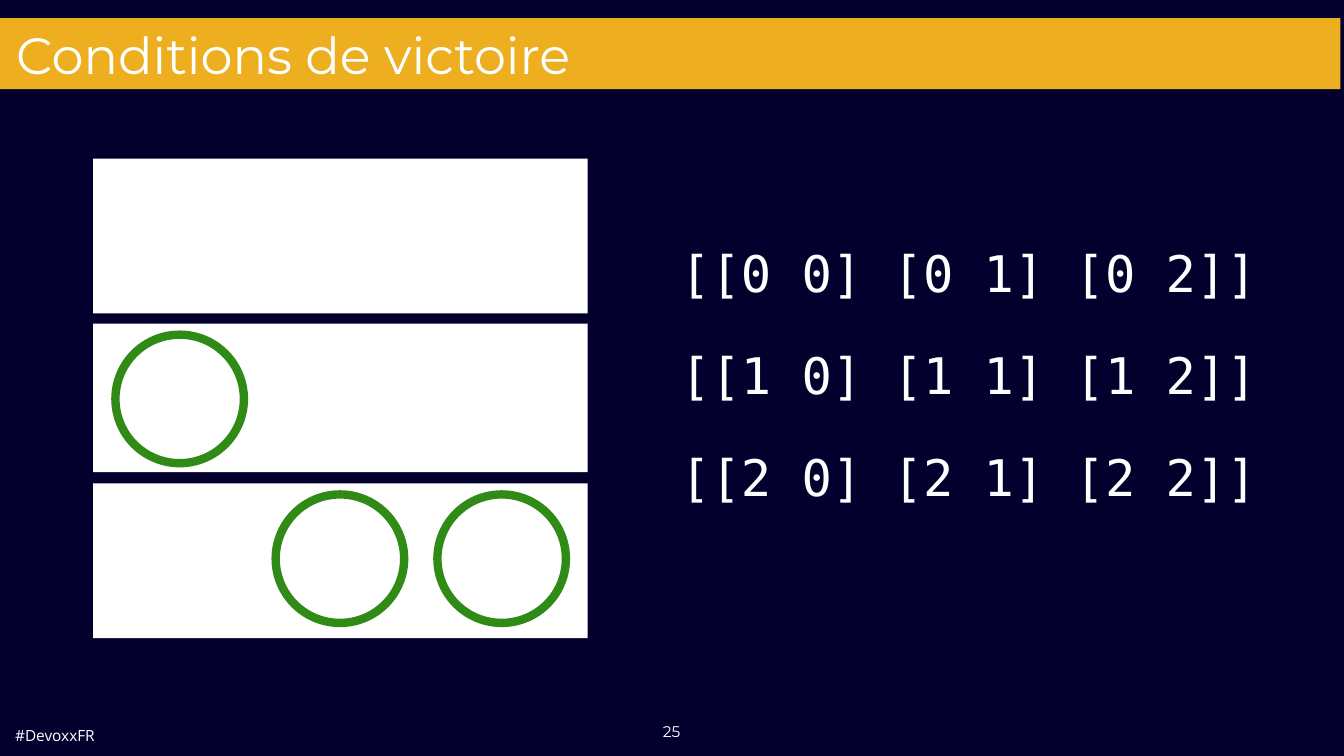
from pptx import Presentation
from pptx.dml.color import RGBColor
from pptx.enum.shapes import MSO_SHAPE as Shape
from pptx.enum.text import MSO_ANCHOR as Anchor, MSO_AUTO_SIZE as AutoSize, PP_ALIGN as Align
from pptx.util import Inches, Pt

COLORS = {"night": "03002E", "amber": "EDAF1F", "white": "FFFFFF", "green": "308B16"}
BOARD_LEFT, BOARD_WIDTH = 1.85, 9.81
ROWS = [(3.15, 3.07), (6.42, 2.95), (9.59, 3.07)]
COLUMNS = [2.29, 5.47, 8.68]
MARKS = [(1, 0), (2, 1), (2, 2)]
MARK_SIZE, MARK_INSET = 2.55, 0.22


def color(name):
    """Return the palette colour of that name."""
    return RGBColor.from_string(COLORS[name])


def paint(part, name):
    """Fill a part with a palette colour."""
    part.fill.solid()
    part.fill.fore_color.rgb = color(name)


def write(box, lines, font, size, align=Align.LEFT, anchor=Anchor.TOP, wrap=True, gap=0):
    """Write one paragraph per line, with a gap between paragraphs."""
    frame = box.text_frame
    frame.text = "\n".join(lines)
    frame.auto_size = AutoSize.NONE
    frame.word_wrap = wrap
    frame.vertical_anchor = anchor
    frame.margin_left = frame.margin_right = Inches(0.08)
    frame.margin_top = frame.margin_bottom = Inches(0.08)
    for index, paragraph in enumerate(frame.paragraphs):
        paragraph.alignment = align
        paragraph.space_before = Pt(gap if index else 0)
        for run in paragraph.runs:
            run.font.name = font
            run.font.size = Pt(size)
            run.font.color.rgb = color("white")


def add_text(slide, place, lines, font, size, **options):
    """Add a text box with formatted lines."""
    box = slide.shapes.add_textbox(*map(Inches, place))
    write(box, lines, font, size, **options)


def set_title(slide, text):
    """Turn the title placeholder into the amber banner."""
    title = slide.shapes.title
    title.left, title.top, title.width, title.height = map(Inches, (-0.08, 0.36, 26.68, 1.41))
    paint(title, "amber")
    write(title, [text], "Montserrat", 72.8, anchor=Anchor.MIDDLE)
    title.text_frame.paragraphs[0]._p.get_or_add_pPr().set("indent", str(Inches(0.32)))


def add_row(slide, top, height):
    """Add one white row of the board."""
    row = slide.shapes.add_shape(
        Shape.RECTANGLE, *map(Inches, (BOARD_LEFT, top, BOARD_WIDTH, height)))
    row.shadow.inherit = False
    paint(row, "white")
    row.line.fill.background()


def add_mark(slide, row, column):
    """Add a player's ring in a board cell."""
    top = ROWS[row][0] + MARK_INSET
    mark = slide.shapes.add_shape(
        Shape.OVAL, *map(Inches, (COLUMNS[column], top, MARK_SIZE, MARK_SIZE)))
    mark.shadow.inherit = False
    mark.fill.background()
    mark.line.color.rgb = color("green")
    mark.line.width = Pt(12)


def winning_row(row):
    """Return the coordinates of a full row as a nested vector."""
    return "[" + " ".join(f"[{row} {column}]" for column in range(len(COLUMNS))) + "]"


def main():
    """Build and save the slide."""
    deck = Presentation()
    deck.slide_width, deck.slide_height = Inches(26.67), Inches(15)
    slide = deck.slides.add_slide(deck.slide_layouts[5])
    paint(slide.background, "night")
    set_title(slide, "Conditions de victoire")
    for top, height in ROWS:
        add_row(slide, top, height)
    for row, column in MARKS:
        add_mark(slide, row, column)
    add_text(slide, (13.42, 4.73, 12.02, 6.31), [winning_row(row) for row in range(len(ROWS))],
             "DejaVu Sans Mono", 72, gap=59)
    add_text(slide, (0.22, 14.3, 1.82, 0.57), ["#DevoxxFR"], "Open Sans", 22,
             anchor=Anchor.MIDDLE, wrap=False)
    add_text(slide, (13.05, 14.24, 0.55, 0.53), ["25"], "Montserrat", 22,
             align=Align.CENTER, wrap=False)
    deck.save("out.pptx")


if __name__ == "__main__":
    main()
